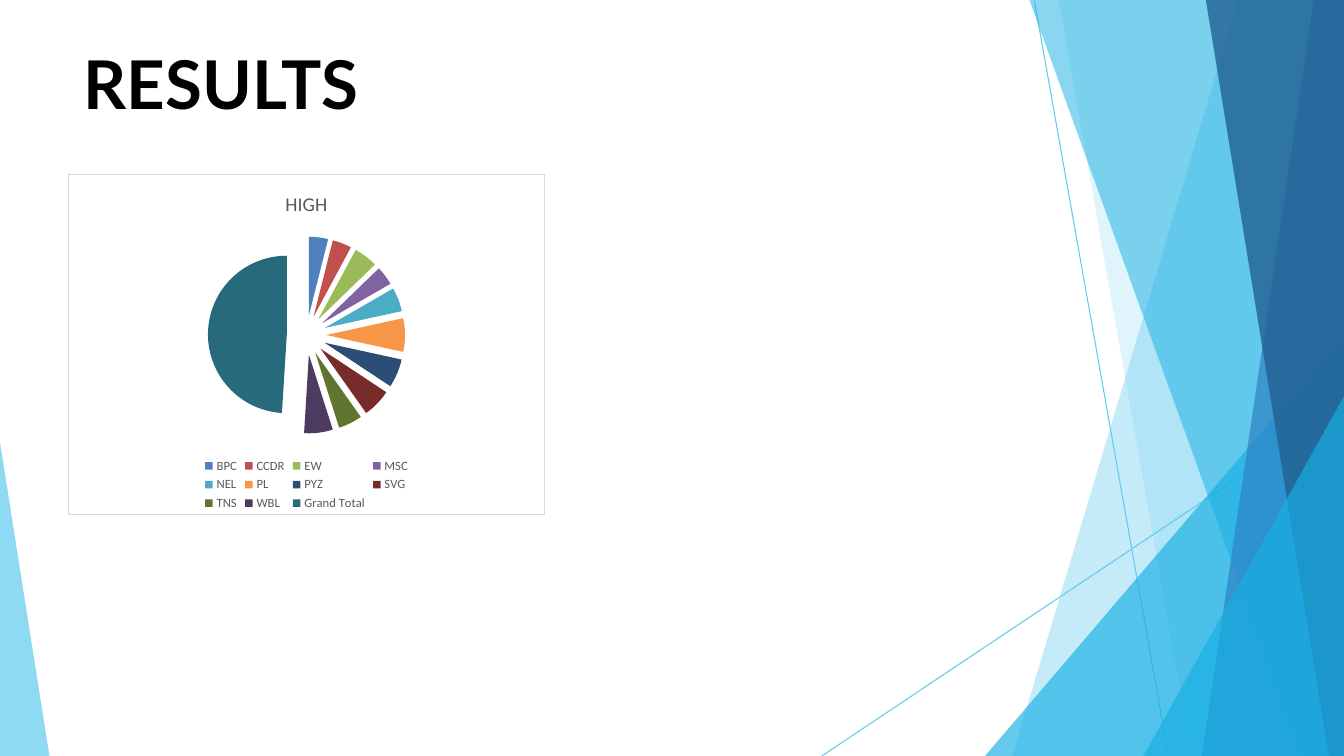
from lxml import etree
from pptx import Presentation
from pptx.chart.data import CategoryChartData
from pptx.dml.color import RGBColor
from pptx.enum.chart import XL_CHART_TYPE, XL_LEGEND_POSITION
from pptx.enum.shapes import MSO_CONNECTOR
from pptx.enum.text import MSO_ANCHOR
from pptx.oxml import parse_xml
from pptx.oxml.ns import nsdecls, qn
from pptx.util import Inches, Pt

SKY = RGBColor(0x5F, 0xCA, 0xEE)
CYAN = RGBColor(0x17, 0xAF, 0xE3)
BLUE = RGBColor(0x2D, 0x83, 0xC3)
NAVY = RGBColor(0x22, 0x61, 0x92)
BLACK = RGBColor(0, 0, 0)
GREY = RGBColor(0x59, 0x59, 0x59)
WIDTH, HEIGHT = 13.33, 7.5

presentation = Presentation()
presentation.slide_width = Inches(WIDTH)
presentation.slide_height = Inches(HEIGHT)
slide = presentation.slides.add_slide(presentation.slide_layouts[6])

for x1, y1, x2, y2 in [(10.26, 0.01, 11.59, HEIGHT), (WIDTH, 4.04, 8.15, HEIGHT)]:
    line = slide.shapes.add_connector(
        MSO_CONNECTOR.STRAIGHT, Inches(x1), Inches(y1), Inches(x2), Inches(y2))
    line.line.color.rgb = SKY
    line.line.width = Pt(0.75)
    etree.SubElement(line._element.spPr, qn("a:effectLst"))


def right_band(top_x, bottom_x):
    return [(WIDTH, 0), (top_x, 0), (bottom_x, HEIGHT), (WIDTH, HEIGHT)]


def right_corner(top_y, bottom_x):
    return [(WIDTH, top_y), (bottom_x, HEIGHT), (WIDTH, HEIGHT)]


facets = [
    (right_band(12.28, 10.04), SKY, 36),
    (right_band(10.5, 11.82), SKY, 20),
    (right_corner(3.33, 9.77), CYAN, 66),
    (right_band(10.21, 12.91), CYAN, 50),
    (right_band(13.03, 11.92), BLUE, 70),
    (right_band(11.96, 13.18), NAVY, 80),
    (right_corner(3.93, 11.34), CYAN, 66),
    ([(0, 4.39), (0, HEIGHT), (0.49, HEIGHT)], SKY, 70),
]
for points, color, opacity in facets:
    corners = [(Inches(x), Inches(y)) for x, y in points]
    builder = slide.shapes.build_freeform(*corners[0])
    builder.add_line_segments(corners[1:], close=True)
    facet = builder.convert_to_shape()
    facet.shadow.inherit = False
    facet.line.fill.background()
    facet.fill.solid()
    facet.fill.fore_color.rgb = color
    color_element = facet._element.spPr.find(qn("a:solidFill"))[0]
    etree.SubElement(color_element, qn("a:alpha"), val=str(opacity * 1000))

title = slide.shapes.add_textbox(Inches(0.83), Inches(0.42), Inches(11.68), Inches(0.67))
frame_format = {"word_wrap": True, "vertical_anchor": MSO_ANCHOR.TOP, "margin_left": 0,
                "margin_top": 0, "margin_right": 0, "margin_bottom": 0}
for name, value in frame_format.items():
    setattr(title.text_frame, name, value)
title_run = title.text_frame.paragraphs[0].add_run()
title_run.text = "RESULTS"

results = {"BPC": (4, "4F81BD"), "CCDR": (4, "C0504D"), "EW": (5, "9BBB59"),
           "MSC": (4, "8064A2"), "NEL": (5, "4BACC6"), "PL": (7, "F79646"),
           "PYZ": (6, "2C4D75"), "SVG": (6, "772C2A"), "TNS": (5, "5F7530"),
           "WBL": (6, "4D3B62"), "Grand Total": (50, "276A7C")}
chart_data = CategoryChartData()
chart_data.categories = list(results)
chart_data.add_series("HIGH", [value for value, color in results.values()])
chart = slide.shapes.add_chart(
    XL_CHART_TYPE.PIE, Inches(0.67), Inches(1.73), Inches(4.74), Inches(3.38), chart_data).chart

chart.has_title = True
chart.chart_title.include_in_layout = False
chart_title_run = chart.chart_title.text_frame.paragraphs[0].add_run()
chart_title_run.text = "HIGH"
chart.has_legend = True
chart.legend.position = XL_LEGEND_POSITION.BOTTOM
chart.legend.include_in_layout = False

for font, family, size, color, bold in [
    (title_run.font, "Lato", 48, BLACK, True),
    (chart.font, "Calibri", 10, BLACK, False),
    (chart_title_run.font, "Calibri", 14, GREY, False),
    (chart.legend.font, "Calibri", 9, GREY, False),
]:
    for name, value in {"name": family, "size": Pt(size), "bold": bold}.items():
        setattr(font, name, value)
    font.color.rgb = color

plot = chart.plots[0]
plot.vary_by_categories = True
series = plot.series[0]
for index, (value, color) in enumerate(results.values()):
    point_fill = series.points[index].format.fill
    point_fill.solid()
    point_fill.fore_color.rgb = RGBColor.from_string(color)
explosion = parse_xml(f'<c:explosion {nsdecls("c")} val="25"/>')
series._element.find(qn("c:dPt")).addprevious(explosion)

chart_frame = parse_xml(
    f'<c:spPr {nsdecls("c", "a")}><a:solidFill><a:srgbClr val="FFFFFF"/></a:solidFill>'
    '<a:ln w="9525"><a:solidFill><a:srgbClr val="D9D9D9"/></a:solidFill></a:ln></c:spPr>')
chart._chartSpace.find(qn("c:chart")).addnext(chart_frame)

presentation.save("out.pptx")
